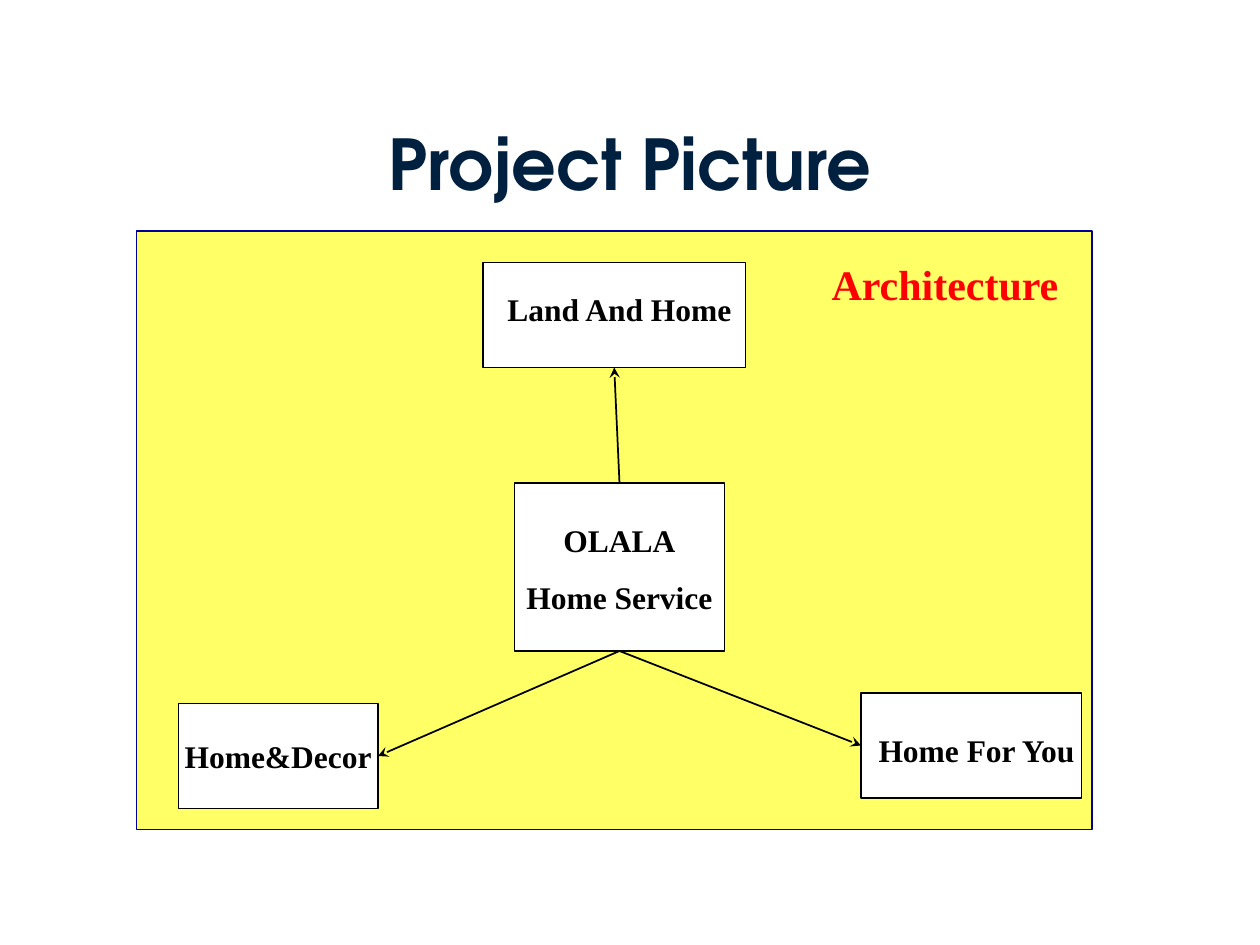
from dataclasses import dataclass

from lxml.etree import SubElement
from pptx import Presentation
from pptx.dml.color import RGBColor
from pptx.enum.shapes import MSO_CONNECTOR as Connector, MSO_SHAPE as Preset
from pptx.enum.text import MSO_ANCHOR as Anchor, MSO_AUTO_SIZE as AutoSize, PP_ALIGN as Align
from pptx.oxml.ns import qn
from pptx.util import Inches, Pt

COLORS = {
    "panel": "FFFF66",
    "panel_line": "000099",
    "node": "FFFFFF",
    "ink": "000000",
    "title": "002040",
    "heading": "FF0000",
}
SERIF = "Times New Roman"
TITLE_FONT = "TeX Gyre Adventor"
CELLS_PER_INCH = 12


@dataclass(frozen=True)
class Area:
    """A rectangle in grid columns and rows."""
    col: float
    row: float
    cols: float
    rows: float

    def lengths(self):
        return [cells(n) for n in (self.col, self.row, self.cols, self.rows)]

    @property
    def top(self):
        return self.col + self.cols / 2, self.row

    @property
    def bottom(self):
        return self.col + self.cols / 2, self.row + self.rows

    @property
    def left(self):
        return self.col, self.row + self.rows / 2

    @property
    def right(self):
        return self.col + self.cols, self.row + self.rows / 2


@dataclass(frozen=True)
class Label:
    area: Area
    lines: tuple[str, ...]
    size: int = 18
    color: str = "ink"
    font: str = SERIF
    gap: float = 11.2


PANEL = Area(13, 22, 91, 57)
LAND = Area(46, 25, 25, 10)
SERVICE = Area(49, 46, 20, 16)
DECOR = Area(17, 67, 19, 10)
FOR_YOU = Area(82, 66, 21, 10)

TITLE = Label(Area(9, 8, 102, 15), ("Project Picture",), 40, "title", TITLE_FONT)
LABELS = [
    Label(Area(82, 69, 22, 4.8), ("Home For You",)),
    Label(Area(46, 27, 26, 4.8), ("Land And Home",)),
    Label(Area(47, 49, 24, 10.3), ("OLALA", "Home Service")),
    Label(Area(77, 24, 26, 6), ("Architecture",), 24, "heading"),
]
ARROWS = [
    (SERVICE.bottom, DECOR.right),
    (SERVICE.bottom, FOR_YOU.left),
    (SERVICE.top, LAND.bottom),
]


def cells(count: float) -> int:
    return Inches(count / CELLS_PER_INCH)


def rgb(name: str) -> RGBColor:
    return RGBColor.from_string(COLORS[name])


def add_box(page, area: Area, fill: str = "node", line: str = "ink"):
    box = page.shapes.add_shape(Preset.RECTANGLE, *area.lengths())
    box.shadow.inherit = False
    box.fill.solid()
    box.fill.fore_color.rgb = rgb(fill)
    box.line.color.rgb = rgb(line)
    box.line.width = Pt(1)
    return box


def write(frame, label: Label) -> None:
    for index, line in enumerate(label.lines):
        para = frame.add_paragraph() if index else frame.paragraphs[0]
        para.text = line
        para.alignment = Align.CENTER
        if index:
            para.space_before = Pt(label.gap)
        para.font.name = label.font
        para.font.size = Pt(label.size)
        para.font.bold = True
        para.font.color.rgb = rgb(label.color)


def add_label(page, label: Label):
    frame = page.shapes.add_textbox(*label.area.lengths()).text_frame
    frame.word_wrap = True
    frame.auto_size = AutoSize.SHAPE_TO_FIT_TEXT
    write(frame, label)
    return frame


def add_arrow(page, start: tuple[float, float], end: tuple[float, float]) -> None:
    ends = [cells(n) for n in (*start, *end)]
    arrow = page.shapes.add_connector(Connector.STRAIGHT, *ends)
    arrow.line.color.rgb = rgb("ink")
    arrow.line.width = Pt(1)
    SubElement(arrow.line._get_or_add_ln(), qn("a:tailEnd"), type="stealth")
    SubElement(arrow._element.spPr, qn("a:effectLst"))


def main() -> None:
    deck = Presentation()
    deck.slide_width, deck.slide_height = Inches(10), Inches(7.5)
    page = deck.slides.add_slide(deck.slide_layouts[6])

    add_box(page, PANEL, "panel", "panel_line")
    title = add_label(page, TITLE)
    title.auto_size = AutoSize.NONE
    title.vertical_anchor = Anchor.MIDDLE

    for area in (LAND, SERVICE, FOR_YOU):
        add_box(page, area)
    decor = add_box(page, DECOR).text_frame
    decor.word_wrap = False
    decor.vertical_anchor = Anchor.MIDDLE
    write(decor, Label(DECOR, ("Home&Decor",)))

    for start, end in ARROWS:
        add_arrow(page, start, end)
    for label in LABELS:
        add_label(page, label)
    deck.save("out.pptx")


if __name__ == "__main__":
    main()
